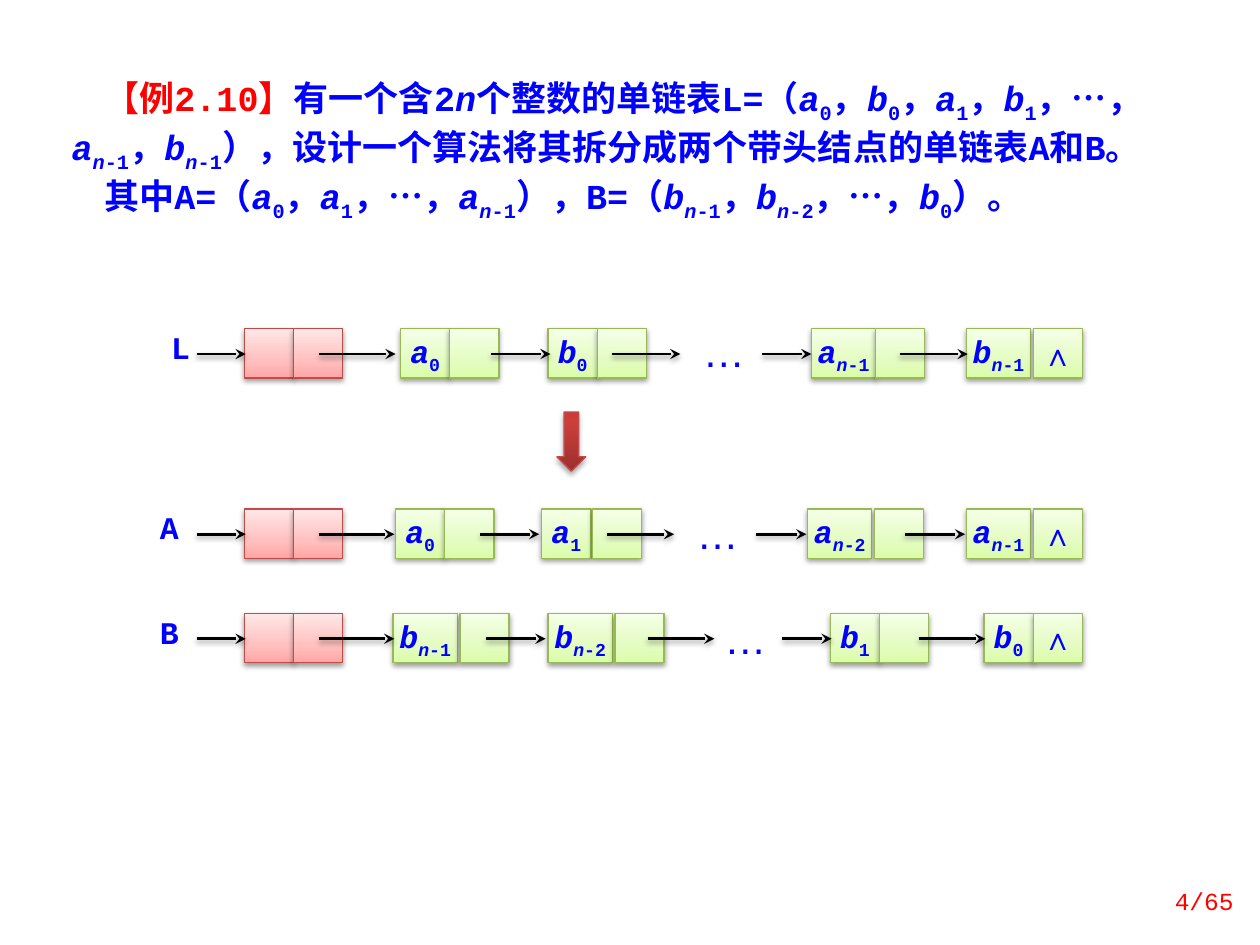
import pptx
import pptx.dml.color
import pptx.enum.lang
import pptx.enum.shapes
import pptx.enum.text
import pptx.oxml.ns
import pptx.util
from lxml import etree

Inches = pptx.util.Inches
Pt = pptx.util.Pt
RGBColor = pptx.dml.color.RGBColor
Align = pptx.enum.text.PP_ALIGN
Anchor = pptx.enum.text.MSO_ANCHOR
Shape = pptx.enum.shapes.MSO_SHAPE
qn = pptx.oxml.ns.qn

BLUE = RGBColor(0x00, 0x00, 0xFF)
RED = RGBColor(0xFF, 0x00, 0x00)
BLACK = RGBColor(0x00, 0x00, 0x00)
RED_LINE = RGBColor(0xBF, 0x4C, 0x48)
GREEN_LINE = RGBColor(0x98, 0xB9, 0x55)

# Gradient stops: position in percent, colour
PINK_STOPS = [(0, RGBColor(0xFF, 0xA6, 0xA5)), (35, RGBColor(0xFF, 0xC0, 0xBF)),
              (100, RGBColor(0xFF, 0xE7, 0xE7))]
GREEN_STOPS = [(0, RGBColor(0xDA, 0xFD, 0xA7)), (35, RGBColor(0xE4, 0xFC, 0xC2)),
               (100, RGBColor(0xF5, 0xFF, 0xE7))]
DARK_STOPS = [(0, RGBColor(0x9C, 0x2F, 0x2D)), (80, RGBColor(0xCB, 0x3E, 0x3A)),
              (100, RGBColor(0xCE, 0x3B, 0x37))]

MONO = "Courier New"
CELL = 0.39
WIDE = 0.51
HEAD_LEFT = 1.94

# Each list: label and its left, top, nodes (value left, link left, name, index),
# arrows (from, to), and left, top offset and width of the ellipsis
LISTS = [
    ("L", 1.26, 2.61,
     [(3.18, 3.57, "a", "0"), (4.35, 4.74, "b", "0"),
      (6.44, 6.95, "a", "n-1"), (7.67, 8.2, "b", "n-1")],
     [(1.56, 1.95), (2.53, 3.14), (3.9, 4.37), (4.86, 5.4), (6.05, 6.44), (7.14, 7.68)],
     (5.48, 0, 0.43)),
    ("A", 1.17, 4.04,
     [(3.14, 3.53, "a", "0"), (4.3, 4.7, "a", "1"),
      (6.41, 6.94, "a", "n-2"), (7.67, 8.2, "a", "n-1")],
     [(1.56, 1.95), (2.53, 3.13), (3.81, 4.28), (4.82, 5.35), (6, 6.4), (7.18, 7.66)],
     (5.43, 0.02, 0.59)),
    ("B", 1.17, 4.87,
     [(3.12, 3.65, "b", "n-1"), (4.35, 4.88, "b", "n-2"),
      (6.59, 6.98, "b", "1"), (7.81, 8.2, "b", "0")],
     [(1.56, 1.95), (2.53, 3.13), (3.86, 4.33), (5.14, 5.67), (6.21, 6.6), (7.29, 7.82)],
     (5.65, 0.02, 0.55)),
]


def add_run(para, text, size, font=MONO, color=BLUE, bold=True, italic=False, sub=False):
    span = para.add_run()
    span.text = text
    span.font.size = Pt(size)
    span.font.name = font
    span.font.color.rgb = color
    span.font.bold = bold
    span.font.italic = italic
    span.font.language_id = pptx.enum.lang.MSO_LANGUAGE_ID.SIMPLIFIED_CHINESE
    if sub:
        span.font._element.set("baseline", "-25000")


def add_variable(para, name, index, size):
    """Write an italic name with its subscript; an n in the subscript is italic too."""
    add_run(para, name, size, italic=True)
    if index.startswith("n"):
        add_run(para, "n", size, italic=True, sub=True)
        index = index[1:]
    add_run(para, index, size, sub=True)


def add_sequence(para, items, size):
    """Write names with indices, separated by full-width commas."""
    for position, item in enumerate(items):
        if position:
            add_run(para, "，", size)
        if item == "…":
            add_run(para, item, size, font="Arial")
        else:
            add_variable(para, item[0], item[1:], size)


def add_text_box(page, left, top, width, height):
    box = page.shapes.add_textbox(Inches(left), Inches(top), Inches(width), Inches(height))
    box.text_frame.word_wrap = True
    return box.text_frame


def add_shadow(shape, opacity, distance):
    effects = etree.SubElement(shape._element.spPr, qn("a:effectLst"))
    shadow = etree.SubElement(effects, qn("a:outerShdw"), blurRad=str(Pt(3.1)),
                              dist=str(Pt(distance)), dir="5400000", rotWithShape="0")
    color = etree.SubElement(shadow, qn("a:srgbClr"), val=str(BLACK))
    etree.SubElement(color, qn("a:alpha"), val=str(opacity * 1000))


def add_gradient_shape(page, kind, left, top, width, height, stops, line,
                       opacity=38, distance=1.6):
    shape = page.shapes.add_shape(kind, Inches(left), Inches(top), Inches(width), Inches(height))
    shape.fill.gradient()
    shape.fill.gradient_angle = 90
    stop_list = shape._element.spPr.find(".//" + qn("a:gsLst"))
    for old_stop in list(stop_list):
        stop_list.remove(old_stop)
    for position, color in stops:
        stop = etree.SubElement(stop_list, qn("a:gs"), pos=str(position * 1000))
        etree.SubElement(stop, qn("a:srgbClr"), val=str(color))
    shape.line.color.rgb = line
    shape.line.width = Pt(0.75)
    add_shadow(shape, opacity, distance)
    return shape


def add_cell(page, left, top, width=CELL, stops=GREEN_STOPS, line=GREEN_LINE):
    """Draw one cell and return its paragraph."""
    cell = add_gradient_shape(page, Shape.RECTANGLE, left, top, width, CELL, stops, line)
    frame = cell.text_frame
    frame.word_wrap = False
    frame.margin_left = frame.margin_right = 0
    frame.vertical_anchor = Anchor.MIDDLE
    para = frame.paragraphs[0]
    para.alignment = Align.CENTER
    return para


def add_arrow(page, start, end, level):
    arrow = page.shapes.add_connector(pptx.enum.shapes.MSO_CONNECTOR.STRAIGHT, Inches(start),
                                      Inches(level), Inches(end), Inches(level))
    arrow.line.color.rgb = BLACK
    arrow.line.width = Pt(1.5)
    etree.SubElement(arrow.line._get_or_add_ln(), qn("a:tailEnd"), type="stealth")
    add_shadow(arrow, 38, 1.6)


def add_linked_list(page, label, label_left, top, nodes, arrows, ellipsis):
    para = add_text_box(page, label_left, top, 0.5, 0.35).paragraphs[0]
    para.line_spacing = 0.8
    add_run(para, label, 18)

    # Head node
    for left in (HEAD_LEFT, HEAD_LEFT + CELL):
        add_cell(page, left, top, stops=PINK_STOPS, line=RED_LINE)

    # Data nodes, the last one with a null link
    for left, link_left, name, index in nodes:
        para = add_cell(page, left, top, WIDE if "n" in index else CELL)
        para.line_spacing = 0.8
        add_variable(para, name, index, 18)
        link = add_cell(page, link_left, top)
    add_run(link, "∧", 18, font="Times New Roman")

    for start, end in arrows:
        add_arrow(page, start, end, top + 0.2)

    left, offset, width = ellipsis
    para = add_text_box(page, left, top + offset, width, 0.42).paragraphs[0]
    para.line_spacing = 0.8
    add_run(para, "…", 24, font="Arial", bold=False)


def add_problem(page):
    frame = add_text_box(page, 0.47, 0.55, 8.83, 1.28)
    first, second = frame.paragraphs[0], frame.add_paragraph()
    for para in (first, second):
        para.line_spacing = Pt(28)
        para._p.get_or_add_pPr().set("indent", str(Inches(0.26)))

    add_run(first, "【例2.10】", 20, color=RED)
    add_run(first, "有一个含2", 20)
    add_run(first, "n", 20, italic=True)
    add_run(first, "个整数的单链表L=（", 20)
    add_sequence(first, ["a0", "b0", "a1", "b1", "…", "an-1", "bn-1"], 20)
    add_run(first, "），设计一个算法将其拆分成两个带头结点的单链表A和B。", 20)

    add_run(second, "其中A=（", 20)
    add_sequence(second, ["a0", "a1", "…", "an-1"], 20)
    add_run(second, "），B=（", 20)
    add_sequence(second, ["bn-1", "bn-2", "…", "b0"], 20)
    add_run(second, "）。", 20)


def add_page_number(page):
    frame = add_text_box(page, 8.98, 6.95, 0.91, 0.4)
    frame.vertical_anchor = Anchor.MIDDLE
    para = frame.paragraphs[0]
    para.alignment = Align.RIGHT
    add_run(para, "4/65", 14, color=RED, bold=False)


def main():
    deck = pptx.Presentation()
    deck.slide_width, deck.slide_height = Inches(10), Inches(7.5)
    page = deck.slides.add_slide(deck.slide_layouts[6])
    add_problem(page)
    for linked_list in LISTS:
        add_linked_list(page, *linked_list)
    # Split arrow between the source list and the two results
    add_gradient_shape(page, Shape.DOWN_ARROW, 4.42, 3.27, 0.23, 0.47, DARK_STOPS, RED_LINE,
                       opacity=35, distance=1.8)
    add_page_number(page)
    deck.save("out.pptx")


if __name__ == "__main__":
    main()
